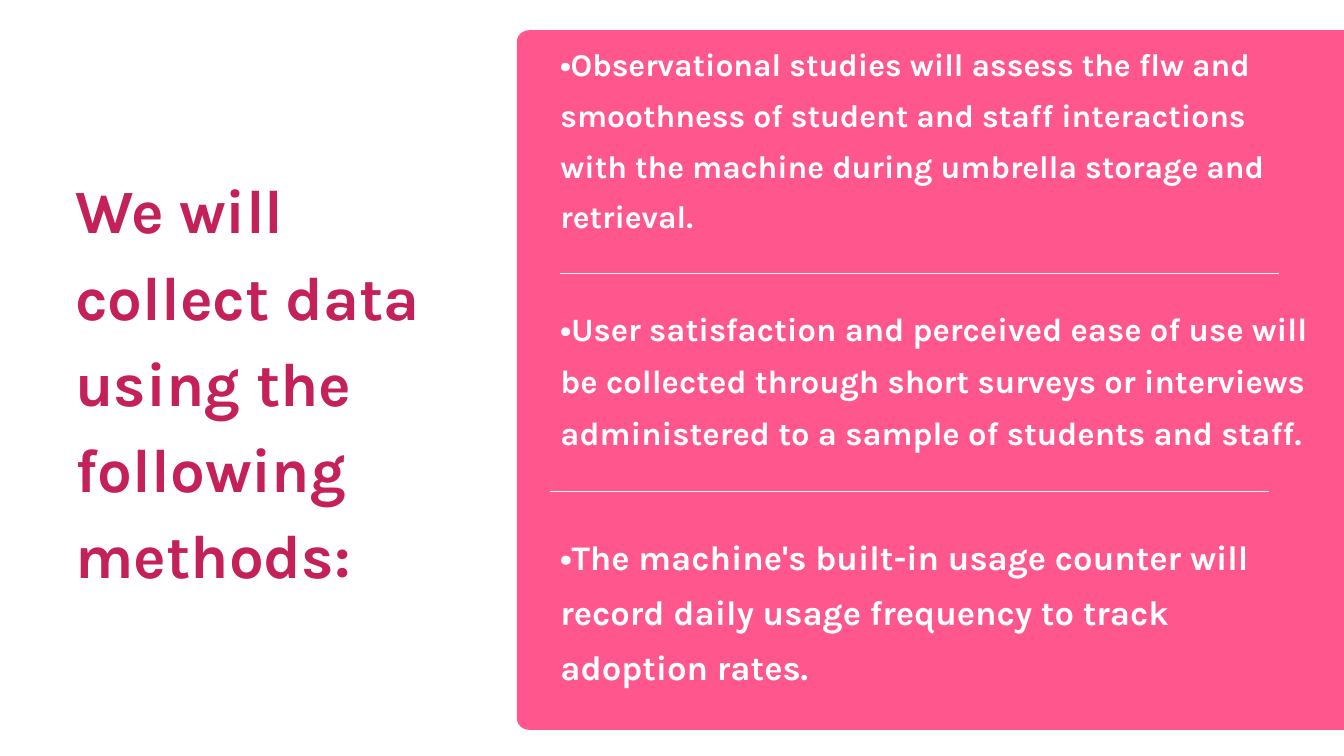
import pptx
import pptx.util
import pptx.dml.color
import pptx.enum.shapes
import pptx.enum.text
import pptx.oxml

WIDTH, HEIGHT = 20, 11.25
FONT = "Karla"
PINK, CRIMSON, WHITE, RULE = "FF568E", "C32157", "FFFFFF", "F5F5F4"

TITLE = "We will collect data using the following methods:"
TITLE_BOX = (1.12, 2.38, 5.81, 6.38)

PANEL = (7.69, 0.45, 12.57, 10.41)
PANEL_RADIUS = 0.18

METHOD_LEFT, METHOD_WIDTH = 8.34, 11.26
# text, top, height, font size
METHODS = [
    ("•Observational studies will assess the flw and smoothness of student "
     "and staff interactions with the machine during umbrella storage and "
     "retrieval.", 0.48, 2.97, 34),
    ("•User satisfaction and perceived ease of use will be collected through "
     "short surveys or interviews administered to a sample of students and "
     "staff.", 4.4, 2.28, 35),
    ("•The machine's built-in usage counter will record daily usage "
     "frequency to track adoption rates.", 7.77, 2.4, 37),
]

DIVIDER_LENGTH = 10.69
DIVIDERS = [(8.34, 4.07), (8.19, 7.31)]  # left, top


def inches(*lengths):
    return [pptx.util.Inches(length) for length in lengths]


def color(hex_text):
    return pptx.dml.color.RGBColor.from_string(hex_text)


def add_text(page, text, place, size, hex_text, leading):
    """Add a bold text box; leading is line pitch as a multiple of size."""
    frame = page.shapes.add_textbox(*inches(*place)).text_frame
    frame.word_wrap = True
    frame.auto_size = pptx.enum.text.MSO_AUTO_SIZE.SHAPE_TO_FIT_TEXT
    frame.margin_left = frame.margin_right = 0
    frame.margin_top = frame.margin_bottom = 0
    para = frame.paragraphs[0]
    para.text = text
    para.line_spacing = pptx.util.Pt(size * leading)
    para.font.name = FONT
    para.font.size = pptx.util.Pt(size)
    para.font.bold = True
    para.font.color.rgb = color(hex_text)


def add_panel(page):
    panel = page.shapes.add_shape(
        pptx.enum.shapes.MSO_SHAPE.ROUNDED_RECTANGLE, *inches(*PANEL))
    panel.adjustments[0] = PANEL_RADIUS / min(PANEL[2:])
    panel.shadow.inherit = False
    panel.fill.solid()
    panel.fill.fore_color.rgb = color(PINK)
    panel.line.fill.background()


def add_divider(page, left, top):
    divider = page.shapes.add_connector(
        pptx.enum.shapes.MSO_CONNECTOR.STRAIGHT,
        *inches(left, top, left + DIVIDER_LENGTH, top))
    divider.line.color.rgb = color(RULE)
    divider.line.width = pptx.util.Pt(1.5)
    divider._element.spPr.append(pptx.oxml.parse_xml(
        '<a:effectLst xmlns:a='
        '"http://schemas.openxmlformats.org/drawingml/2006/main"/>'))


def main():
    deck = pptx.Presentation()
    deck.slide_width, deck.slide_height = inches(WIDTH, HEIGHT)
    page = deck.slides.add_slide(deck.slide_layouts[6])
    page.background.fill.solid()
    page.background.fill.fore_color.rgb = color(WHITE)

    add_panel(page)
    add_text(page, TITLE, TITLE_BOX, 66, CRIMSON, leading=1.4)
    for text, top, height, size in METHODS:
        place = (METHOD_LEFT, top, METHOD_WIDTH, height)
        add_text(page, text, place, size, WHITE, leading=1.6)
    for left, top in DIVIDERS:
        add_divider(page, left, top)

    deck.save("out.pptx")


if __name__ == "__main__":
    main()
